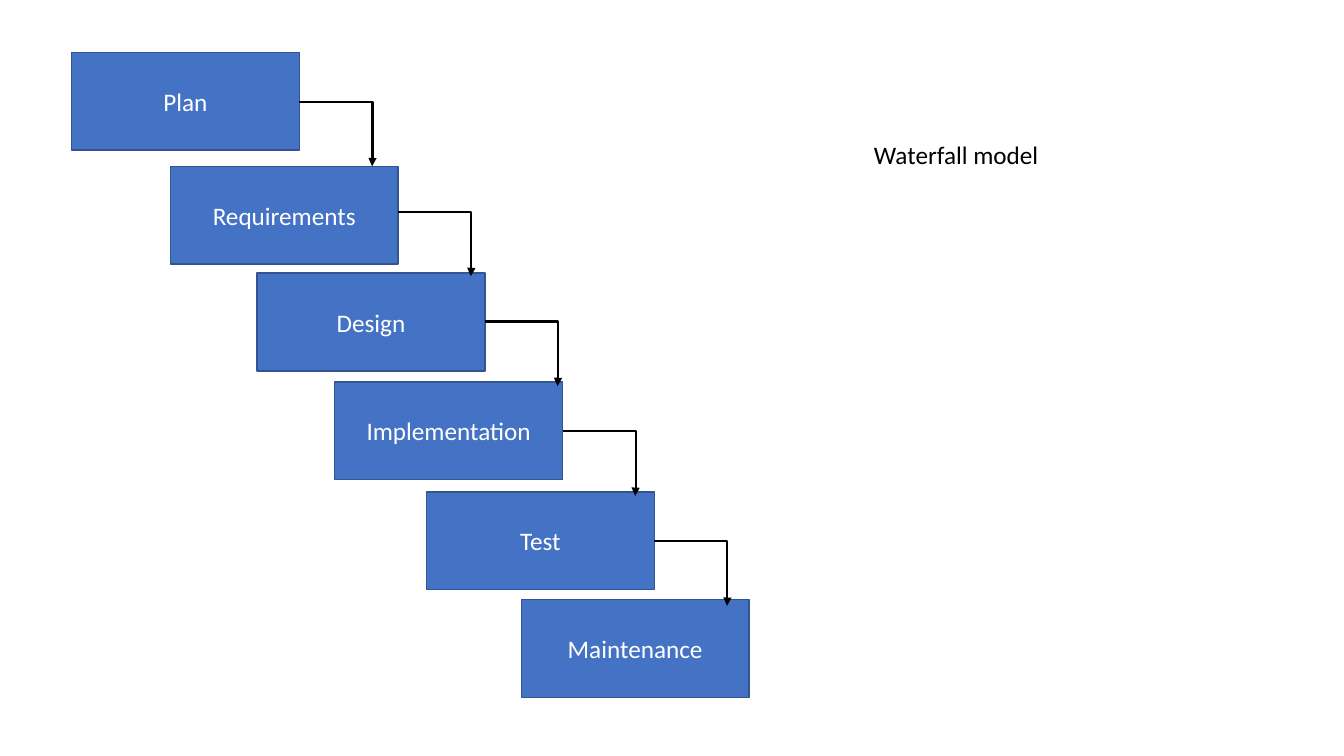
"""Build a slide that shows the waterfall model as a stair of linked steps."""
import pptx
import pptx.dml.color
import pptx.enum.shapes
import pptx.enum.text
import pptx.oxml
import pptx.oxml.ns
import pptx.util

Inches, Pt = pptx.util.Inches, pptx.util.Pt
Color = pptx.dml.color.RGBColor.from_string
Align = pptx.enum.text.PP_ALIGN
Anchor = pptx.enum.text.MSO_ANCHOR
Fit = pptx.enum.text.MSO_AUTO_SIZE

TITLE = "Waterfall model"
STEPS = [
    ("Plan", 0.71, 0.52),
    ("Requirements", 1.69, 1.65),
    ("Design", 2.55, 2.71),
    ("Implementation", 3.32, 3.79),
    ("Test", 4.23, 4.88),
    ("Maintenance", 5.17, 5.95),
]
SIZE = (2.26, 0.97)
LABEL = (8.57, 1.33, 3.07, 0.4)
ARROW = {"top": 1.01, "pitch": 1.09, "run": 0.72, "drop": 0.64}
THEME = {
    "box": "4472C4", "edge": "325491", "light": "FFFFFF", "dark": "000000",
    "font": "Calibri", "text": 18, "thin": 1, "thick": 1.5,
}


def style(item, **values):
    for name, value in values.items():
        setattr(item, name, value)


def stroke(line, color, width):
    line.color.rgb = Color(THEME[color])
    line.width = Pt(THEME[width])


def write(shape, words, color, align, **frame):
    style(shape.text_frame, word_wrap=True, **frame)
    para = shape.text_frame.paragraphs[0]
    para.alignment = align
    run = para.add_run()
    run.text = words
    style(run.font, name=THEME["font"], size=Pt(THEME["text"]))
    run.font.color.rgb = Color(THEME[color])


def add_step(slide, words, left, top):
    kind = pptx.enum.shapes.MSO_SHAPE.RECTANGLE
    box = slide.shapes.add_shape(kind, *map(Inches, (left, top, *SIZE)))
    box.shadow.inherit = False
    box.fill.solid()
    box.fill.fore_color.rgb = Color(THEME["box"])
    stroke(box.line, "edge", "thin")
    write(box, words, "light", Align.CENTER, vertical_anchor=Anchor.MIDDLE)


def add_arrow(slide, left, top):
    ends = (left, top, left + ARROW["run"], top + ARROW["drop"])
    kind = pptx.enum.shapes.MSO_CONNECTOR.ELBOW
    link = slide.shapes.add_connector(kind, *map(Inches, ends))
    stroke(link.line, "dark", "thick")
    space = pptx.oxml.ns.nsdecls("a")
    props = link._element.spPr
    bend = f'<a:gd {space} name="adj1" fmla="val 100600"/>'
    head = f'<a:tailEnd {space} type="triangle"/>'
    props.find(".//" + pptx.oxml.ns.qn("a:avLst")).append(pptx.oxml.parse_xml(bend))
    props.find(pptx.oxml.ns.qn("a:ln")).append(pptx.oxml.parse_xml(head))
    props.append(pptx.oxml.parse_xml(f"<a:effectLst {space}/>"))


deck = pptx.Presentation()
style(deck, slide_width=Inches(13.33), slide_height=Inches(7.5))
slide = deck.slides.add_slide(deck.slide_layouts[6])

for step in STEPS:
    add_step(slide, *step)

label = slide.shapes.add_textbox(*map(Inches, LABEL))
write(label, TITLE, "dark", Align.LEFT, auto_size=Fit.SHAPE_TO_FIT_TEXT)

for rank, (words, left, top) in enumerate(STEPS[:-1]):
    add_arrow(slide, left + SIZE[0], ARROW["top"] + rank * ARROW["pitch"])

deck.save("out.pptx")
